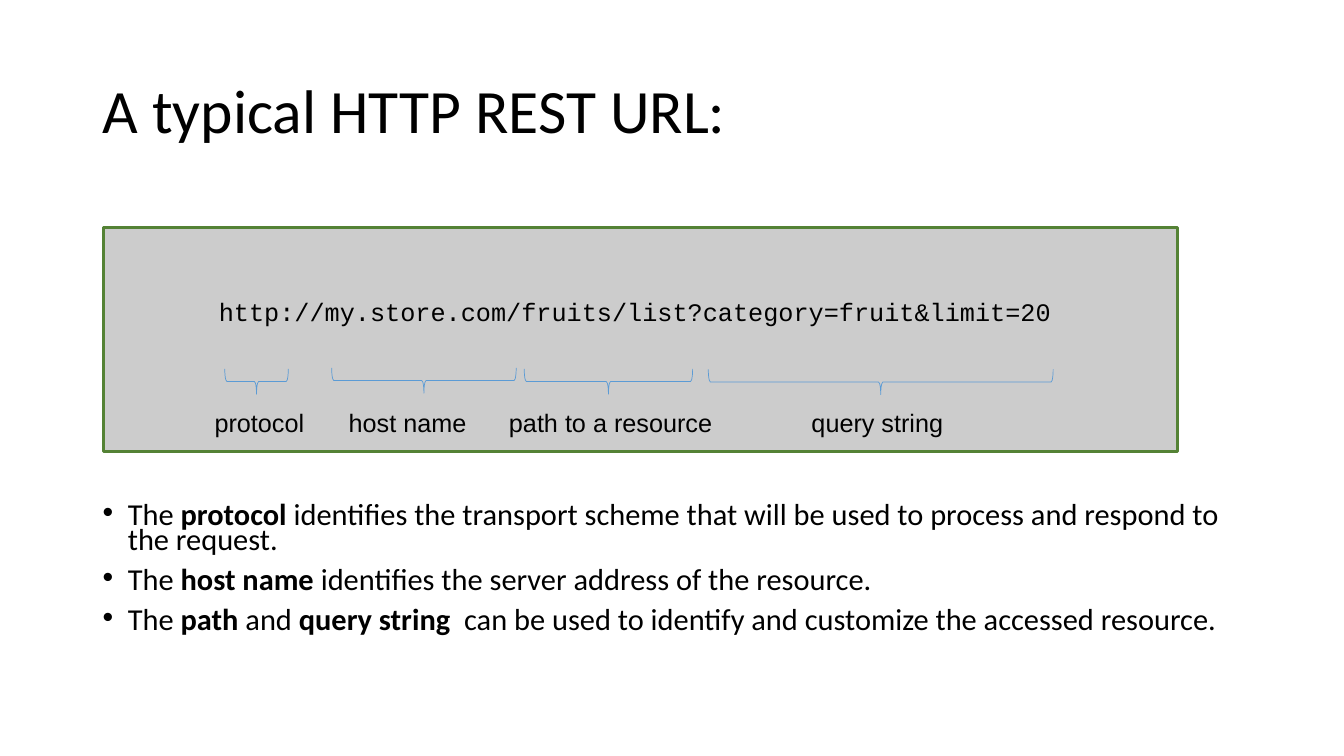
from lxml import etree
from pptx import Presentation
from pptx.dml.color import RGBColor
from pptx.enum.shapes import MSO_SHAPE
from pptx.enum.text import MSO_ANCHOR, PP_ALIGN
from pptx.oxml.ns import qn
from pptx.util import Pt

PX = 9144
RECTANGLE = MSO_SHAPE.RECTANGLE
LEFT_BRACE = MSO_SHAPE.LEFT_BRACE
TOP = MSO_ANCHOR.TOP
MIDDLE = MSO_ANCHOR.MIDDLE
LEFT = PP_ALIGN.LEFT
TITLE_ONLY = 5


def color(hex_string):
    return RGBColor.from_string(hex_string)


def write(paragraph, text, font_name, size, bold=False):
    run = paragraph.add_run()
    run.text = text
    run.font.color.rgb = color("000000")
    font_format = {"name": font_name, "size": Pt(size), "bold": bold}
    for attribute, value in font_format.items():
        setattr(run.font, attribute, value)


presentation = Presentation()
presentation.slide_width = 1333 * PX
presentation.slide_height = 750 * PX
slide = presentation.slides.add_slide(presentation.slide_layouts[TITLE_ONLY])

title = slide.shapes.title
title_format = {"left": 92, "top": 40, "width": 1150, "height": 145}
for attribute, value in title_format.items():
    setattr(title, attribute, value * PX)
title.text_frame.vertical_anchor = MIDDLE
paragraph = title.text_frame.paragraphs[0]
paragraph.alignment = LEFT
paragraph.line_spacing = 0.9
write(paragraph, "A typical HTTP REST URL:", "Calibri", 44)

explanation = slide.shapes.add_textbox(92 * PX, 456 * PX, 1150 * PX, 219 * PX)
explanation.text_frame.word_wrap = True
explanation.text_frame.margin_top = 45 * PX
bullets = [
    [("The ", False), ("protocol", True),
     (" identifies the transport scheme that will be used to process and respond to the request.", False)],
    [("The ", False), ("host name ", True),
     ("identifies the server address of the resource.", False)],
    [("The ", False), ("path", True), (" and ", False), ("query string  ", True),
     ("can be used to identify and customize the accessed resource.", False)],
]
for index, parts in enumerate(bullets):
    frame = explanation.text_frame
    paragraph = frame.add_paragraph() if index else frame.paragraphs[0]
    paragraph_format = {"alignment": LEFT, "line_spacing": 0.7, "space_before": Pt(10)}
    for attribute, value in paragraph_format.items():
        setattr(paragraph, attribute, value)
    properties = paragraph._p.get_or_add_pPr()
    properties.set("marL", str(25 * PX))
    properties.set("indent", str(-25 * PX))
    etree.SubElement(properties, qn("a:buFont")).set("typeface", "Arial")
    etree.SubElement(properties, qn("a:buChar")).set("char", "•")
    for text, bold in parts:
        write(paragraph, text, "Calibri", 21.7, bold)

url_box = slide.shapes.add_shape(RECTANGLE, 103 * PX, 226 * PX, 1065 * PX, 222 * PX)
url_box.shadow.inherit = False
url_box.fill.solid()
url_box.fill.fore_color.rgb = color("CCCCCC")
url_box.line.color.rgb = color("548235")
url_box.line.width = Pt(2)
frame_format = {"word_wrap": True, "vertical_anchor": TOP,
                "margin_left": 114 * PX, "margin_top": 68 * PX}
for attribute, value in frame_format.items():
    setattr(url_box.text_frame, attribute, value)
paragraph = url_box.text_frame.paragraphs[0]
paragraph.alignment = LEFT
write(paragraph, "http://my.store.com/fruits/list?category=fruit&limit=20", "Courier New", 18)

BRACE_DEPTH = 25
url_parts = [
    ("protocol", 203, 113, 223, 63, 378),
    ("host name", 336, 142, 329, 183, 377),
    ("path to a resource", 495, 227, 520, 167, 378),
    ("query string", 795, 158, 703, 342, 379),
]
for name, label_left, label_width, span_left, span, middle in url_parts:
    brace_left = span_left + (span - BRACE_DEPTH) // 2
    brace = slide.shapes.add_shape(
        LEFT_BRACE, brace_left * PX, (middle - span // 2) * PX, BRACE_DEPTH * PX, span * PX)
    brace.rotation = 270
    brace.shadow.inherit = False
    brace.fill.background()
    brace.line.color.rgb = color("5B9BD5")
    brace.line.width = Pt(0.5)

    label = slide.shapes.add_textbox(label_left * PX, 399 * PX, label_width * PX, 40 * PX)
    label.text_frame.word_wrap = False
    paragraph = label.text_frame.paragraphs[0]
    paragraph.alignment = LEFT
    write(paragraph, name, "Arial", 18)

presentation.save("out.pptx")
